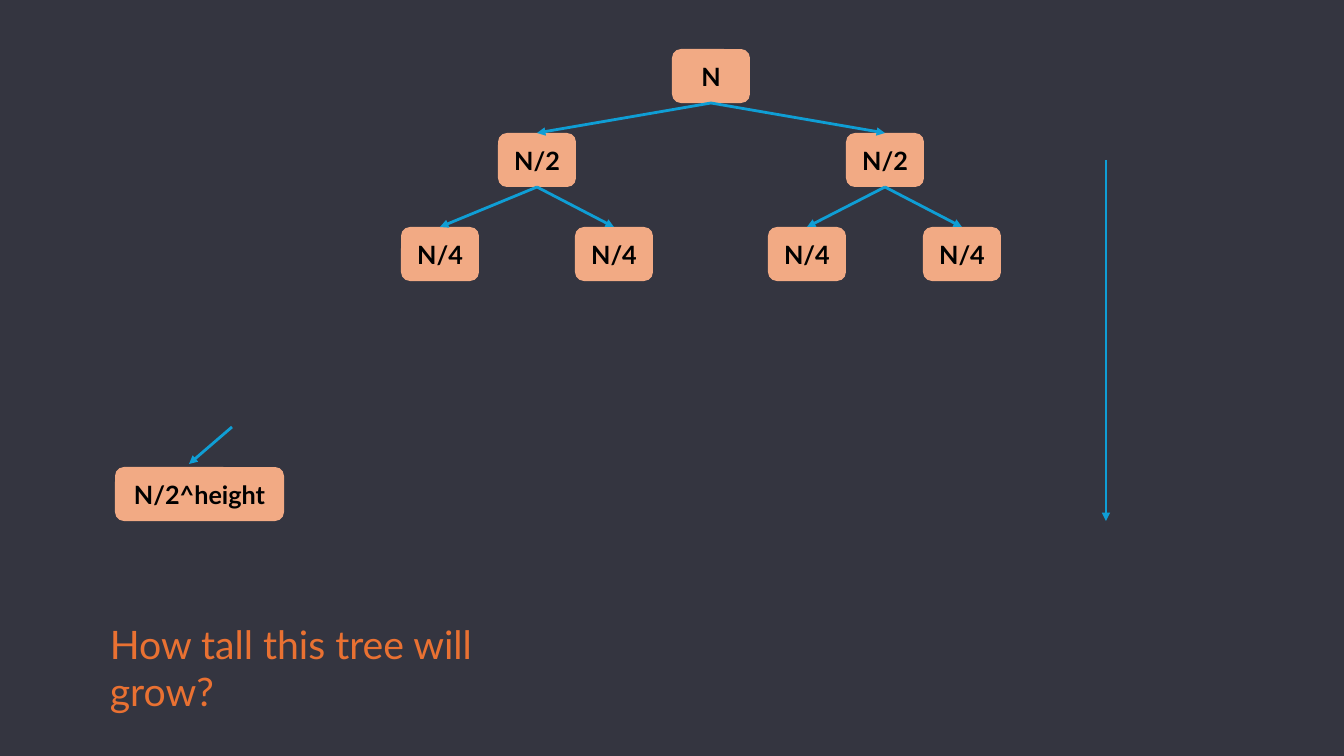
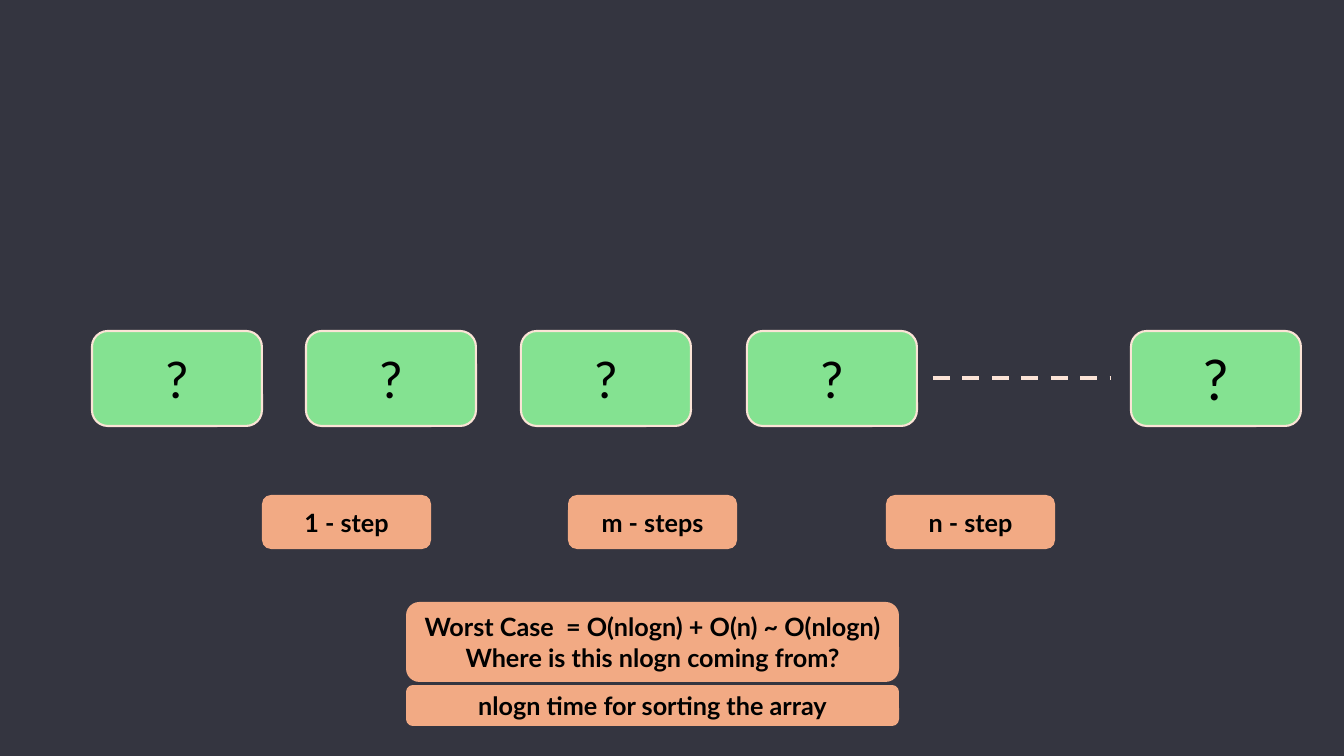
import lxml.etree
import pptx
import pptx.dml.color
import pptx.enum.dml
import pptx.enum.shapes
import pptx.enum.text
import pptx.oxml.ns
import pptx.util

PX = 12192000 / 1344  # EMU in one px
FONT = "Lato"
BACKGROUND, ORANGE, BLUE, PEACH = "343540", "E97132", "0F9ED5", "F2AA84"
GREEN, CREAM, BLACK = "84E291", "FBE3D6", "000000"

color = pptx.dml.color.RGBColor.from_string
qn = pptx.oxml.ns.qn


def add_box(slide, bounds, text, size=18, bold=True, fill=PEACH, outline=None):
    """Add a rounded box with centred text, one paragraph per line."""
    shape = slide.shapes.add_shape(
        pptx.enum.shapes.MSO_SHAPE.ROUNDED_RECTANGLE, *(round(v * PX) for v in bounds))
    shape.shadow.inherit = False
    shape.fill.solid()
    shape.fill.fore_color.rgb = color(fill)
    if outline:
        shape.line.color.rgb = color(outline)
        shape.line.width = pptx.util.Pt(1.5)
    else:
        shape.line.fill.background()
    frame = shape.text_frame
    frame.word_wrap = True
    frame.vertical_anchor = pptx.enum.text.MSO_ANCHOR.MIDDLE
    frame.text = text
    for paragraph in frame.paragraphs:
        paragraph.alignment = pptx.enum.text.PP_ALIGN.CENTER
        paragraph.font.name = FONT
        paragraph.font.size = pptx.util.Pt(size)
        paragraph.font.bold = bold
        paragraph.font.color.rgb = color(BLACK)
    return shape


def add_line(slide, ends, stroke=BLUE, width=2, dashed=False):
    """Add a dashed line, or a solid one with an arrowhead at its end."""
    connector = slide.shapes.add_connector(
        pptx.enum.shapes.MSO_CONNECTOR.STRAIGHT, *(round(v * PX) for v in ends))
    connector.line.color.rgb = color(stroke)
    connector.line.width = pptx.util.Pt(width)
    properties = connector.element.spPr
    if dashed:
        connector.line.dash_style = pptx.enum.dml.MSO_LINE.DASH
    else:
        lxml.etree.SubElement(properties.find(qn("a:ln")), qn("a:tailEnd"), type="triangle")
    lxml.etree.SubElement(properties, qn("a:effectLst"))
    return connector


presentation = pptx.Presentation()
presentation.slide_width = round(1344 * PX)
presentation.slide_height = round(756 * PX)
background = presentation.slide_master.background.fill
background.solid()
background.fore_color.rgb = color(BACKGROUND)
blank = presentation.slide_layouts[6]

# Slide 1: recursion tree
slide = presentation.slides.add_slide(blank)
levels = [("N", 49, [672]), ("N/2", 133, [498, 846]), ("N/4", 227, [401, 575, 768, 923])]
nodes = [add_box(slide, (left, top, 78, 54), text)
         for text, top, lefts in levels for left in lefts]
add_box(slide, (115, 467, 169, 54), "N/2^height")

# Nodes are in level order, so the parent of node i is node (i - 1) // 2
for index, child in enumerate(nodes[1:], start=1):
    edge = add_line(slide, (0, 0, 0, 0))
    edge.begin_connect(nodes[(index - 1) // 2], 2)
    edge.end_connect(child, 0)
add_line(slide, (232, 427, 189, 464))
add_line(slide, (1106, 160, 1106, 521), width=1.5)

question = slide.shapes.add_textbox(*(round(v * PX) for v in (100, 615, 483, 57)))
question.text_frame.word_wrap = True
paragraph = question.text_frame.paragraphs[0]
paragraph.text = "How tall this tree will grow?"
paragraph.font.name = FONT
paragraph.font.size = pptx.util.Pt(28)
paragraph.font.color.rgb = color(ORANGE)

# Slide 2: array of unknown values and the cost of searching it
slide = presentation.slides.add_slide(blank)
for left, size in [(92, 36), (306, 36), (521, 36), (747, 36), (1131, 40)]:
    add_box(slide, (left, 331, 170, 95), "?", size, False, GREEN, CREAM)
add_line(slide, (933, 378, 1110, 378), CREAM, 3, dashed=True)
for left, text in [(262, "1 - step"), (568, "m - steps"), (886, "n - step")]:
    add_box(slide, (left, 495, 169, 54), text)
add_box(slide, (406, 602, 493, 80),
        "Worst Case  = O(nlogn) + O(n) ~ O(nlogn)\nWhere is this nlogn coming from?")
add_box(slide, (406, 685, 493, 41), "nlogn time for sorting the array")

presentation.save("out.pptx")
